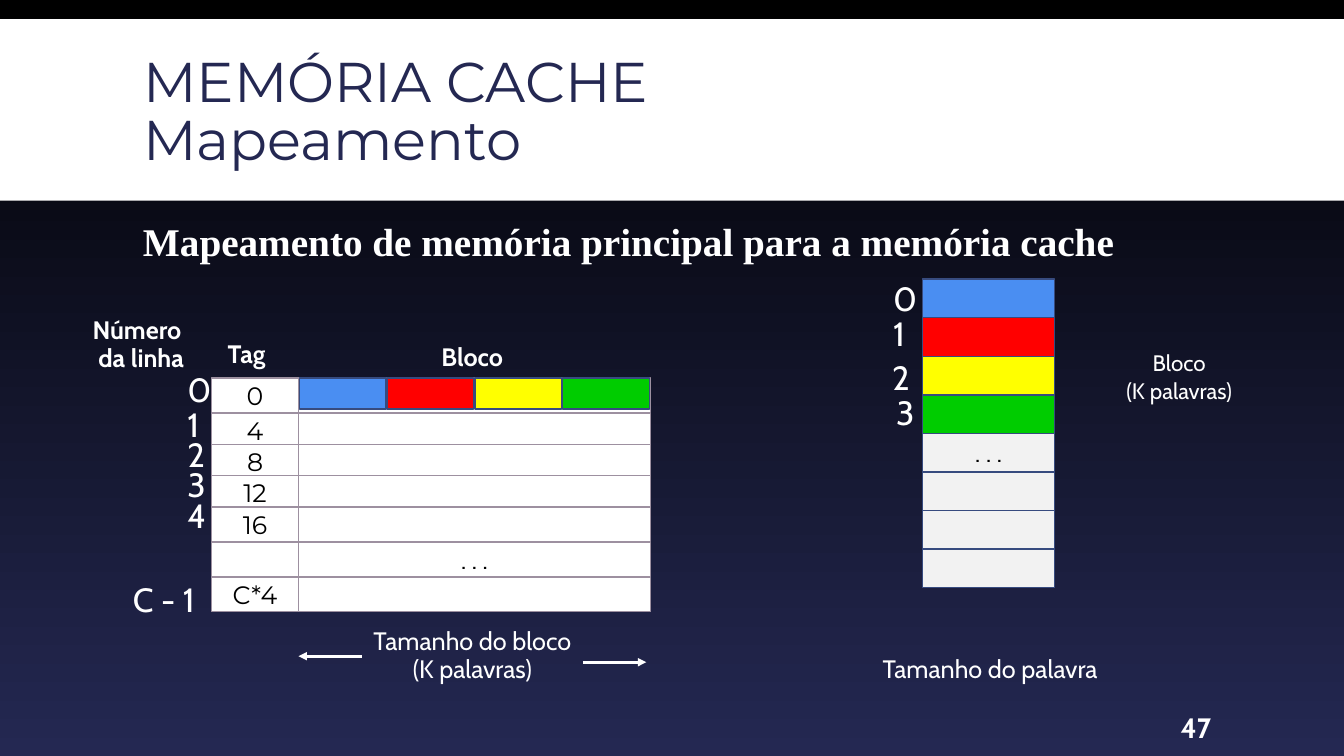
from lxml import etree
from pptx import Presentation
from pptx.dml.color import RGBColor
from pptx.enum.shapes import MSO_CONNECTOR, MSO_SHAPE
from pptx.enum.text import MSO_ANCHOR, MSO_AUTO_SIZE, PP_ALIGN
from pptx.oxml.ns import qn
from pptx.util import Inches, Pt

RECTANGLE = MSO_SHAPE.RECTANGLE
STRAIGHT = MSO_CONNECTOR.STRAIGHT
TOP, MIDDLE = MSO_ANCHOR.TOP, MSO_ANCHOR.MIDDLE
LEFT, CENTER = PP_ALIGN.LEFT, PP_ALIGN.CENTER
NO_FIT = MSO_AUTO_SIZE.NONE
LEFT_SIDE = 1

COLORS = {
    "black": "000000", "navy": "242852", "white": "FFFFFF",
    "mauve": "9D90A0", "steel": "374B7F", "gray": "F2F2F2",
    "blue": "4A8EF2", "red": "FF0000", "yellow": "FFFF00", "green": "00CC00",
}
WORDS = ["blue", "red", "yellow", "green"]
EXACT = {"line_spacing": Pt(20)}
CENTERED = {"line_spacing": Pt(20), "alignment": CENTER}
CELL = {"alignment": CENTER}


def color(name):
    return RGBColor.from_string(COLORS[name])


def write(frame, text, size, font="Cabin", ink="white", bold=False,
          layout=EXACT, anchor=TOP):
    frame.word_wrap = True
    frame.vertical_anchor = anchor
    frame.text = text
    for para in frame.paragraphs:
        for name, value in layout.items():
            setattr(para, name, value)
        formats = {"size": Pt(size), "name": font, "bold": bold}
        for run in para.runs:
            for name, value in formats.items():
                setattr(run.font, name, value)
            run.font.color.rgb = color(ink)


def add_label(page, box, text, size=18, **formats):
    label = page.shapes.add_textbox(*map(Inches, box))
    write(label.text_frame, text, size, **formats)
    return label


def add_box(page, box, fill, line=None, text="", font="Cabin"):
    shape = page.shapes.add_shape(RECTANGLE, *map(Inches, box))
    shape.shadow.inherit = False
    shape.fill.solid()
    shape.fill.fore_color.rgb = color(fill)
    if line:
        shape.line.color.rgb = color(line)
        shape.line.width = Pt(1)
    else:
        shape.line.fill.background()
    if text:
        write(shape.text_frame, text, 18, font, "black", layout=CELL, anchor=MIDDLE)
    return shape


def add_arrow(page, start, end, height):
    arrow = page.shapes.add_connector(
        STRAIGHT, Inches(start), Inches(height), Inches(end), Inches(height))
    arrow.line.color.rgb = color("white")
    arrow.line.width = Pt(2)
    etree.SubElement(arrow.line._get_or_add_ln(), qn("a:tailEnd"), type="triangle")
    etree.SubElement(arrow.element.spPr, qn("a:effectLst"))
    return arrow


def paint_background(page):
    fill = page.background.fill
    fill.gradient()
    fill.gradient_angle = 270
    for stop, position, name in zip(fill.gradient_stops, (0, 1), ("black", "navy")):
        stop.position = position
        stop.color.rgb = color(name)


def add_header(page, box):
    left, top, width, height = box
    band = add_box(page, box, "white")
    title = page.shapes.title
    title.element.addprevious(band.element)
    place = {"left": left + 1.32, "top": top + 0.12, "width": 10.7, "height": 1.65}
    for name, value in place.items():
        setattr(title, name, Inches(value))
    title.text_frame.auto_size = NO_FIT
    write(title.text_frame, "MEMÓRIA CACHE\vMapeamento", 40, "Montserrat", "navy",
          layout={"line_spacing": 0.85, "alignment": LEFT}, anchor=MIDDLE)
    add_label(page, (left + 1.32, top + 2.01, 10.34, 0.53),
              "Mapeamento de memória principal para a memória cache", 28,
              font="Times New Roman", bold=True,
              layout={"line_spacing": 0.8, "space_after": Pt(2)})


def add_cache(page, box):
    left, top, width, height = box
    tag_width, row_height = 0.86, 0.34
    block_left, block_width = left + tag_width, width - tag_width
    rows = [(0, "0", ""), (0.35, "4", ""), (0.66, "8", ""), (0.97, "12", ""),
            (1.28, "16", ""), (1.63, "", ". . ."), (1.98, "C*4", "")]
    for offset, tag, block in rows:
        row_top = top + offset
        add_box(page, (left, row_top, tag_width, row_height),
                "white", "mauve", tag, "Montserrat")
        add_box(page, (block_left, row_top, block_width, row_height),
                "white", "mauve", block)
    for index, fill in enumerate(WORDS):
        add_box(page, (block_left + 0.01 + 0.87 * index, top, 0.86, 0.31), fill, "steel")

    for number, offset in enumerate((-0.02, 0.33, 0.63, 0.93, 1.23)):
        add_label(page, (left - 0.34, top + offset, 0.38, 0.4), str(number), 24)
    add_label(page, (left - 0.88, top + 2.07, 0.9, 0.38), "C - 1", 24)

    headings = [(-1.28, -0.66, 1.31, "Número\n da linha"),
                (0.06, -0.42, 0.7, "Tag"), (2.18, -0.39, 0.9, "Bloco")]
    for across, down, span_width, text in headings:
        add_label(page, (left + across, top + down, span_width, 0.38), text, bold=True)

    size_left, size_top, size_width = left + 1.49, top + 2.43, 2.19
    size_label = add_label(page, (size_left, size_top, size_width, 0.66),
                           "Tamanho do bloco\n(K palavras)", layout=CENTERED)
    left_arrow = add_arrow(page, size_left, block_left, size_top + 0.33)
    left_arrow.begin_connect(size_label, LEFT_SIDE)
    add_arrow(page, size_left + size_width, left + width - 0.04, size_top + 0.39)


def add_main_memory(page, box):
    left, top, width, height = box
    fills = WORDS + ["gray"] * 4
    step = height / len(fills)
    for index, fill in enumerate(fills):
        text = ". . ." if index == len(WORDS) else ""
        add_box(page, (left, top + step * index, width, step), fill, "steel", text)
    addresses = [(-0.39, 0.06), (-0.39, 0.41), (-0.4, 0.84), (-0.36, 1.19)]
    for number, (across, down) in enumerate(addresses):
        add_label(page, (left + across, top + down, 0.38, 0.4), str(number), 24)
    add_label(page, (left + 1.89, top + 0.63, 1.31, 0.66),
              "Bloco\n(K palavras)", 16, layout=CENTERED)
    add_label(page, (left - 0.58, top + 3.68, 2.5, 0.38),
              "Tamanho do palavra", layout=CENTERED)


def add_page_number(page, box):
    number = add_label(page, box, "47", 20, bold=True, layout={}, anchor=MIDDLE)
    number.text_frame.margin_left = Inches(0.05)


def main():
    deck = Presentation()
    deck.slide_width, deck.slide_height = Inches(13.33), Inches(7.5)
    page = deck.slides.add_slide(deck.slide_layouts[5])
    paint_background(page)
    add_header(page, (0, 0.19, 13.33, 1.8))
    add_cache(page, (2.1, 3.75, 4.35, 2.32))
    add_main_memory(page, (9.15, 2.77, 1.31, 3.06))
    add_page_number(page, (11.66, 7.02, 1.03, 0.4))
    deck.save("out.pptx")


if __name__ == "__main__":
    main()
